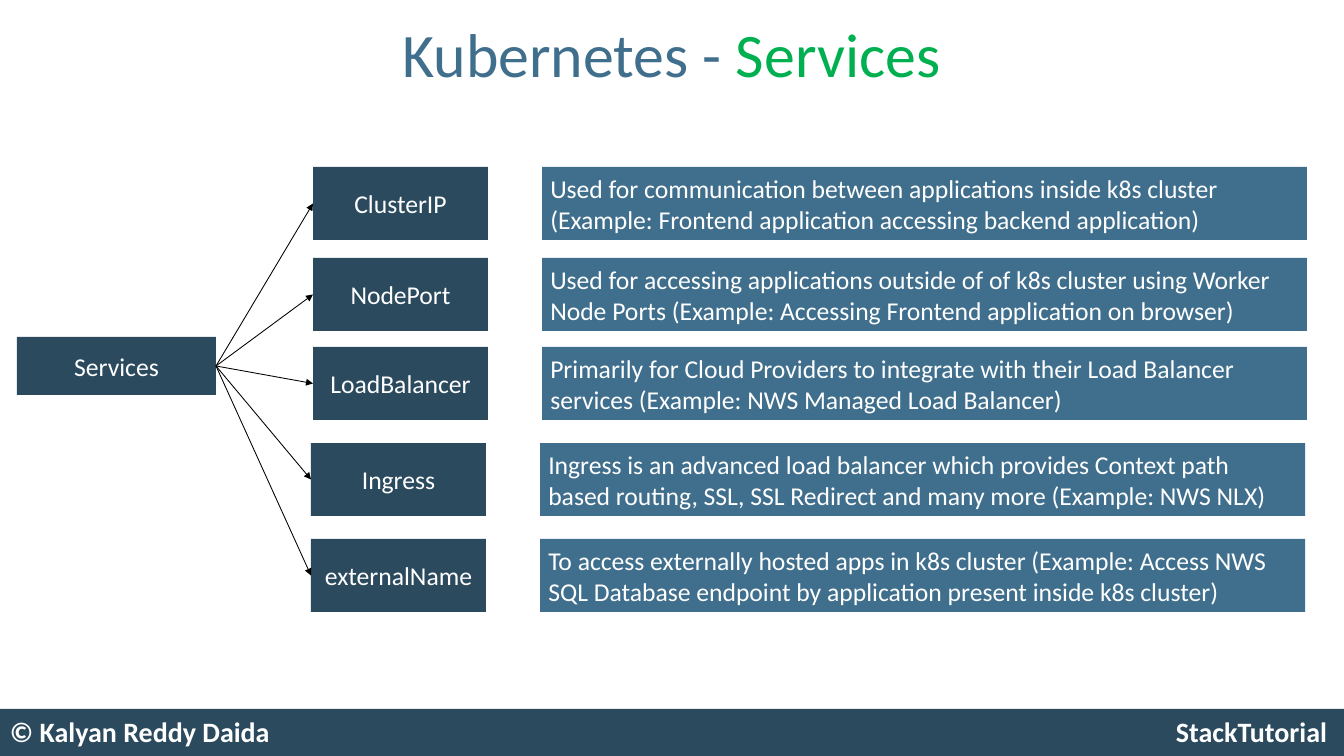
from pptx import Presentation
from pptx.dml.color import RGBColor
from pptx.enum.shapes import MSO_CONNECTOR, MSO_SHAPE
from pptx.enum.text import MSO_ANCHOR, PP_ALIGN
from pptx.oxml.ns import qn
from pptx.util import Pt
from lxml.etree import SubElement

PIXEL = 914400 // 84
NAVY, STEEL, GREEN = "2B4A5E", "406F8D", "00B050"
WHITE, BLACK = "FFFFFF", "000000"

# name, left, top, description
SERVICE_TYPES = [
    ("ClusterIP", 313, 167,
     "Used for communication between applications inside k8s cluster "
     "(Example: Frontend application accessing backend application)"),
    ("NodePort", 313, 258,
     "Used for accessing applications outside of of k8s cluster using Worker "
     "Node Ports (Example: Accessing Frontend application on browser)"),
    ("LoadBalancer", 313, 347,
     "Primarily for Cloud Providers to integrate with their Load Balancer "
     "services (Example: NWS Managed Load Balancer)"),
    ("Ingress", 311, 443,
     "Ingress is an advanced load balancer which provides Context path "
     "based routing, SSL, SSL Redirect and many more (Example: NWS NLX)"),
    ("externalName", 311, 539,
     "To access externally hosted apps in k8s cluster (Example: Access NWS "
     "SQL Database endpoint by application present inside k8s cluster)"),
]
TYPE_WIDTH, ROW_HEIGHT = 175, 73
DESCRIPTION_OFFSET, DESCRIPTION_WIDTH = 229, 765


def px(*lengths):
    return [length * PIXEL for length in lengths]


def color(hex_value):
    return RGBColor.from_string(hex_value)


def write(shape, runs, size, align, bold=False):
    """Fill the shape with one paragraph of (text, color) runs."""
    frame = shape.text_frame
    frame.word_wrap = True
    frame.vertical_anchor = MSO_ANCHOR.MIDDLE
    paragraph = frame.paragraphs[0]
    paragraph.alignment = align
    for text, hex_value in runs:
        run = paragraph.add_run()
        run.text = text
        run.font.name = "Calibri"
        run.font.size = Pt(size)
        run.font.bold = bold
        run.font.color.rgb = color(hex_value)
    return paragraph


def add_box(slide, left, top, width, height, fill, text="", align=PP_ALIGN.CENTER):
    box = slide.shapes.add_shape(MSO_SHAPE.RECTANGLE, *px(left, top, width, height))
    box.shadow.inherit = False
    box.fill.solid()
    box.fill.fore_color.rgb = color(fill)
    box.line.fill.background()
    if text:
        write(box, [(text, WHITE)], 22, align)
    return box


def add_label(slide, left, top, width, height, runs, size, align, bold=False):
    label = slide.shapes.add_textbox(*px(left, top, width, height))
    frame = label.text_frame
    frame.margin_left, frame.margin_right = px(10, 10)
    frame.margin_top, frame.margin_bottom = px(5, 5)
    return write(label, runs, size, align, bold)


def add_arrow(slide, source, target):
    """Join the right side of source to the left side of target."""
    arrow = slide.shapes.add_connector(MSO_CONNECTOR.STRAIGHT, 0, 0, 0, 0)
    arrow.begin_connect(source, 3)
    arrow.end_connect(target, 1)
    arrow.line.width = Pt(0.75)
    arrow.line.color.rgb = color(BLACK)
    properties = arrow._element.spPr
    SubElement(properties.find(qn("a:ln")), qn("a:tailEnd"), type="triangle")
    SubElement(properties, qn("a:effectLst"))


def add_footer(slide):
    add_box(slide, -2, 709, 1346, 47, NAVY)
    add_label(slide, 1162, 711, 179, 41, [("StackTutorial", WHITE)], 24,
              PP_ALIGN.CENTER, bold=True)
    add_label(slide, 0, 711, 454, 41, [("© Kalyan Reddy Daida", WHITE)], 24,
              PP_ALIGN.LEFT, bold=True)


def main():
    presentation = Presentation()
    presentation.slide_width, presentation.slide_height = px(1344, 756)
    slide = presentation.slides.add_slide(presentation.slide_layouts[6])

    add_footer(slide)
    title = add_label(slide, 92, 3, 1159, 109,
                      [("Kubernetes - ", STEEL), ("Services", GREEN)],
                      53, PP_ALIGN.CENTER)
    title.line_spacing = 0.9

    services = add_box(slide, 17, 337, 199, 58, NAVY, "Services")
    for name, left, top, description in SERVICE_TYPES:
        service_type = add_box(slide, left, top, TYPE_WIDTH, ROW_HEIGHT, NAVY, name)
        add_arrow(slide, services, service_type)
        add_box(slide, left + DESCRIPTION_OFFSET, top, DESCRIPTION_WIDTH,
                ROW_HEIGHT, STEEL, description, PP_ALIGN.LEFT)

    presentation.save("out.pptx")


if __name__ == "__main__":
    main()
